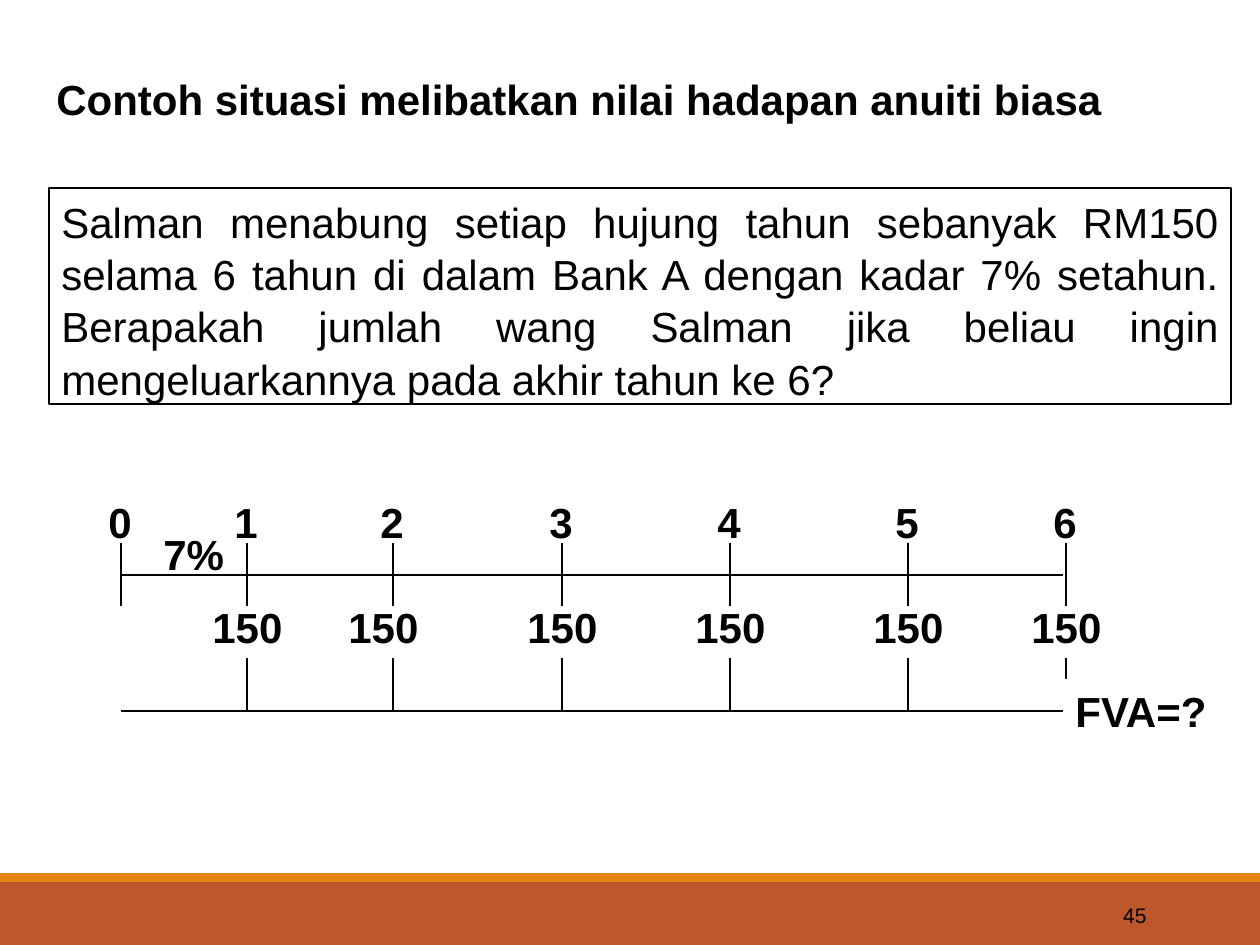
from lxml import etree
from pptx import Presentation
from pptx import util as u
from pptx.dml.color import RGBColor
from pptx.enum import shapes, text
from pptx.oxml import ns

PX = 914400 / 126  # EMU per px
COLORS = {"ink": "000000", "paper": "FFFFFF", "bar": "BD582C", "strip": "E48312"}

prs = Presentation()
prs.slide_width, prs.slide_height = u.Inches(10), u.Inches(7.5)
slide = prs.slides.add_slide(prs.slide_layouts[6])


def add_box(box, fill=None, words=None, size=24, bold=True, wrap=False,
            align=text.PP_ALIGN.LEFT, anchor=text.MSO_ANCHOR.TOP):
    place = [u.Emu(round(v * PX)) for v in box]
    if fill:
        shape = slide.shapes.add_shape(shapes.MSO_SHAPE.RECTANGLE, *place)
        shape.shadow.inherit = False
        shape.fill.solid()
        shape.fill.fore_color.rgb = RGBColor.from_string(COLORS[fill])
        shape.line.fill.background()
    else:
        shape = slide.shapes.add_textbox(*place)
    if words:
        frame = shape.text_frame
        frame.word_wrap = wrap
        frame.vertical_anchor = anchor
        paragraph = frame.paragraphs[0]
        paragraph.alignment = align
        run = paragraph.add_run()
        run.text = words
        run.font.name, run.font.size, run.font.bold = "Arial", u.Pt(size), bold
        run.font.color.rgb = RGBColor.from_string(COLORS["ink"])
    return shape


def add_line(x1, y1, x2, y2):
    ends = [u.Emu(round(v * PX)) for v in (x1, y1, x2, y2)]
    line = slide.shapes.add_connector(shapes.MSO_CONNECTOR.STRAIGHT, *ends)
    line.line.width = u.Pt(0.75)
    line.line.color.rgb = RGBColor.from_string(COLORS["ink"])
    etree.SubElement(line.element.spPr, ns.qn("a:effectLst"))
    return line


# Footer bars
add_box((0, 882, 1260, 63), "bar")
add_box((0, 873, 1260, 9), "strip")

# Problem statement
problem = add_box(
    (49, 188, 1182, 216), "paper",
    "Salman menabung setiap hujung tahun sebanyak RM150 selama 6 tahun di dalam "
    "Bank A dengan kadar 7% setahun. Berapakah jumlah wang Salman jika beliau "
    "ingin mengeluarkannya pada akhir tahun ke 6?",
    bold=False, wrap=True, align=text.PP_ALIGN.JUSTIFY)
problem.text_frame.paragraphs[0].line_spacing = 1.04
problem.line.color.rgb = RGBColor.from_string(COLORS["ink"])
problem.line.width = u.Pt(1)

# Timeline and the arrow that gathers the payments
year_x = [121, 247, 393, 562, 730, 908, 1066]
add_line(year_x[0], 575, 1063, 575)
fva_arrow = add_line(year_x[0], 711, 1085, 711)
etree.SubElement(fva_arrow.line._get_or_add_ln(), ns.qn("a:tailEnd"), type="triangle")

# Years, with a payment at the end of each
for year, x in enumerate(year_x):
    add_line(x, 543, x, 606)
    add_box((x - 25, 490, 49, 63), words=str(year))
    if year:
        payment_x = x - (57 if year == 2 else 47)
        add_box((payment_x, 595, 96, 63), words="150")
        add_line(x, 658, x, 711)

# Interest rate and future value
add_box((151, 522, 87, 63), words="7%")
add_box((1063, 679, 160, 63), "paper", "FVA=?")

# Slide number and title
add_box((1023, 890, 136, 50), words="45", size=12, bold=False, wrap=True,
        align=text.PP_ALIGN.RIGHT, anchor=text.MSO_ANCHOR.MIDDLE)
add_box((44, 67, 1081, 63), words="Contoh situasi melibatkan nilai hadapan anuiti biasa")

prs.save("out.pptx")
